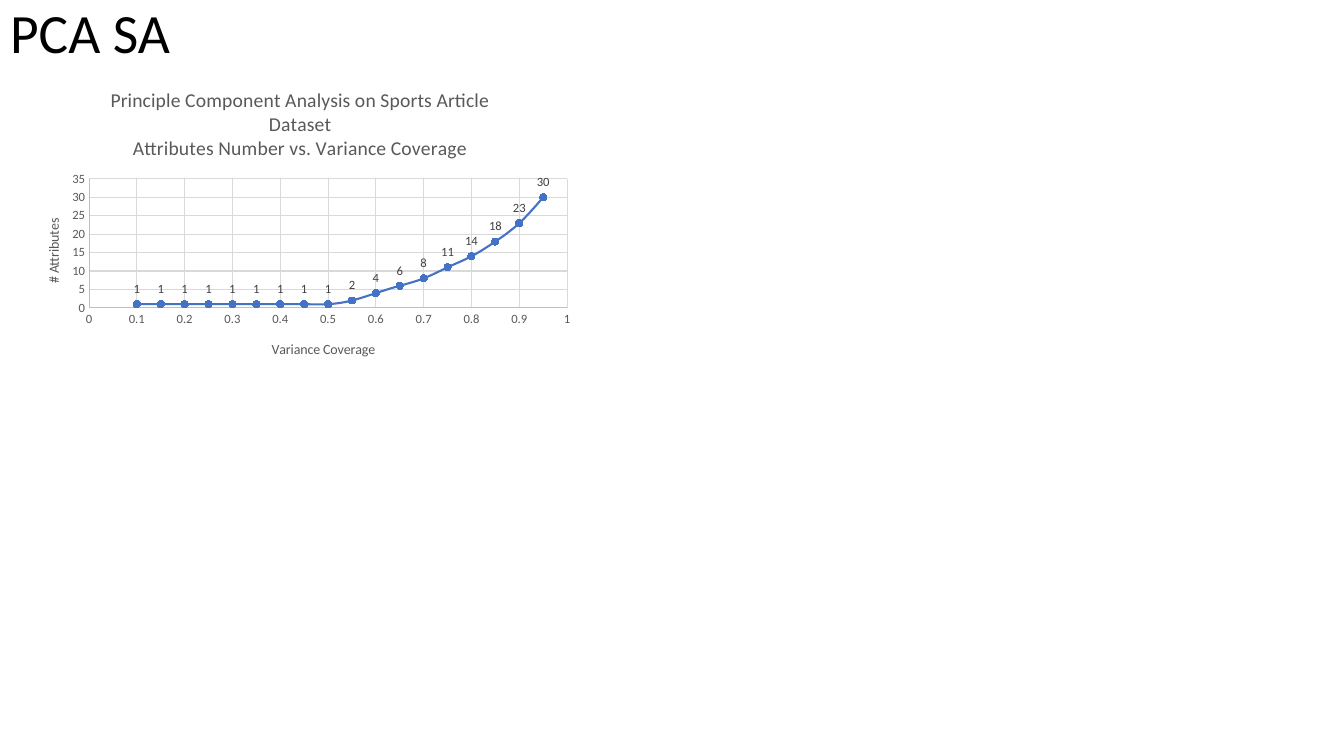
from lxml import etree
from pptx import Presentation
from pptx.chart.data import XyChartData
from pptx.chart.datalabel import DataLabels
from pptx.dml.color import RGBColor
from pptx.enum.chart import XL_CHART_TYPE, XL_LABEL_POSITION, XL_MARKER_STYLE, XL_TICK_MARK
from pptx.enum.text import MSO_ANCHOR, MSO_AUTO_SIZE, PP_ALIGN
from pptx.oxml.ns import qn
from pptx.util import Emu, Inches, Pt

FONT = "Calibri"
BLUE, GREY, DARK = "4472C4", "595959", "404040"
CHART_BOX = (19, 72, 562, 302)
PLOT_BOX = (89, 179, 478, 129)
ATTRIBUTES = [1] * 9 + [2, 4, 6, 8, 11, 14, 18, 23, 30]


def px(n):
    """Turn pixels into EMU."""
    return Emu(round(n * 914400 / 100.8))


def rgb(color):
    """Turn a hex string into a colour."""
    return RGBColor.from_string(color)


def format_font(font, size, color):
    """Set face, size and colour of a font."""
    font.name, font.size, font.bold = FONT, Pt(size), False
    font.color.rgb = rgb(color)


def format_line(line, color, width):
    """Set colour and width of a line."""
    line.color.rgb = rgb(color)
    line.width = Pt(width)


def write_text(tf, text, size, color, align=PP_ALIGN.CENTER, spacing=None):
    """Fill a text frame, one paragraph for each line of text."""
    for i, line in enumerate(text.split("\n")):
        p = tf.paragraphs[0] if i == 0 else tf.add_paragraph()
        p.alignment, p.line_spacing = align, spacing
        r = p.add_run()
        r.text = line
        format_font(r.font, size, color)


def place(element, index, left, top, width=None, height=None):
    """Give a chart part a fixed place, in slide pixels."""
    for old in element.findall(qn("c:layout")):
        element.remove(old)
    layout = etree.Element(qn("c:layout"))
    element.insert(index, layout)
    manual = etree.SubElement(layout, qn("c:manualLayout"))
    x, y, w, h = CHART_BOX
    settings = [("xMode", "edge"), ("yMode", "edge"),
                ("x", (left - x) / w), ("y", (top - y) / h)]
    if width:
        settings.insert(0, ("layoutTarget", "inner"))
        settings += [("w", width / w), ("h", height / h)]
    for name, value in settings:
        etree.SubElement(manual, qn(f"c:{name}")).set("val", str(value))


def format_axis(axis, title, left, top, maximum, step):
    """Set scale, lines, labels and title of an axis."""
    axis.minimum_scale, axis.maximum_scale, axis.major_unit = 0, maximum, step
    axis.major_tick_mark = axis.minor_tick_mark = XL_TICK_MARK.NONE
    axis.has_major_gridlines = True
    format_line(axis.major_gridlines.format.line, "D9D9D9", 0.75)
    format_line(axis.format.line, "BFBFBF", 0.75)
    format_font(axis.tick_labels.font, 9, GREY)
    axis.tick_labels.number_format = "General"
    axis.tick_labels.number_format_is_linked = False
    write_text(axis.axis_title.text_frame, title, 10, GREY)
    place(axis.axis_title._element, 1, left, top)


def format_series(series):
    """Set line, markers and labels of the curve."""
    series._element.get_or_add_smooth().val = True
    format_line(series.format.line, BLUE, 1.5)
    series.marker.style, series.marker.size = XL_MARKER_STYLE.CIRCLE, 5
    series.marker.format.fill.solid()
    series.marker.format.fill.fore_color.rgb = rgb(BLUE)
    format_line(series.marker.format.line, BLUE, 0.75)
    labels = DataLabels(series._element.get_or_add_dLbls())
    labels.show_value, labels.position = True, XL_LABEL_POSITION.ABOVE
    format_font(labels.font, 9, DARK)


def add_variance_chart(slide):
    """Add the scatter chart of attributes against variance coverage."""
    data = XyChartData()
    points = data.add_series("Series 1")
    for i, count in enumerate(ATTRIBUTES):
        points.add_data_point(round(0.1 + 0.05 * i, 2), count)
    chart = slide.shapes.add_chart(
        XL_CHART_TYPE.XY_SCATTER_SMOOTH, *map(px, CHART_BOX), data).chart
    format_font(chart.font, 10, "000000")
    chart.has_legend = False
    chart.has_title = True
    write_text(chart.chart_title.text_frame,
               "Principle Component Analysis on Sports Article Dataset\n"
               "Attributes Number vs. Variance Coverage", 14, GREY)
    format_axis(chart.category_axis, "Variance Coverage", 269, 338, 1, 0.1)
    format_axis(chart.value_axis, "# Attributes", 42, 216, 35, 5)
    plot = chart.plots[0]
    plot.vary_by_categories = False
    format_series(plot.series[0])
    place(chart._chartSpace.chart.plotArea, 0, *PLOT_BOX)


def set_title(slide, text):
    """Move the title placeholder and write its text."""
    sp = slide.shapes.title
    sp.left, sp.top, sp.width, sp.height = map(px, (0, 0, 300, 72))
    tf = sp.text_frame
    tf.auto_size, tf.vertical_anchor = MSO_AUTO_SIZE.NONE, MSO_ANCHOR.MIDDLE
    write_text(tf, text, 39.6, "000000", align=PP_ALIGN.LEFT, spacing=0.9)


def main():
    """Build the slide and save it."""
    prs = Presentation()
    prs.slide_width, prs.slide_height = Inches(13.33), Inches(7.5)
    slide = prs.slides.add_slide(prs.slide_layouts[5])
    set_title(slide, "PCA SA")
    add_variance_chart(slide)
    prs.save("out.pptx")


main()
